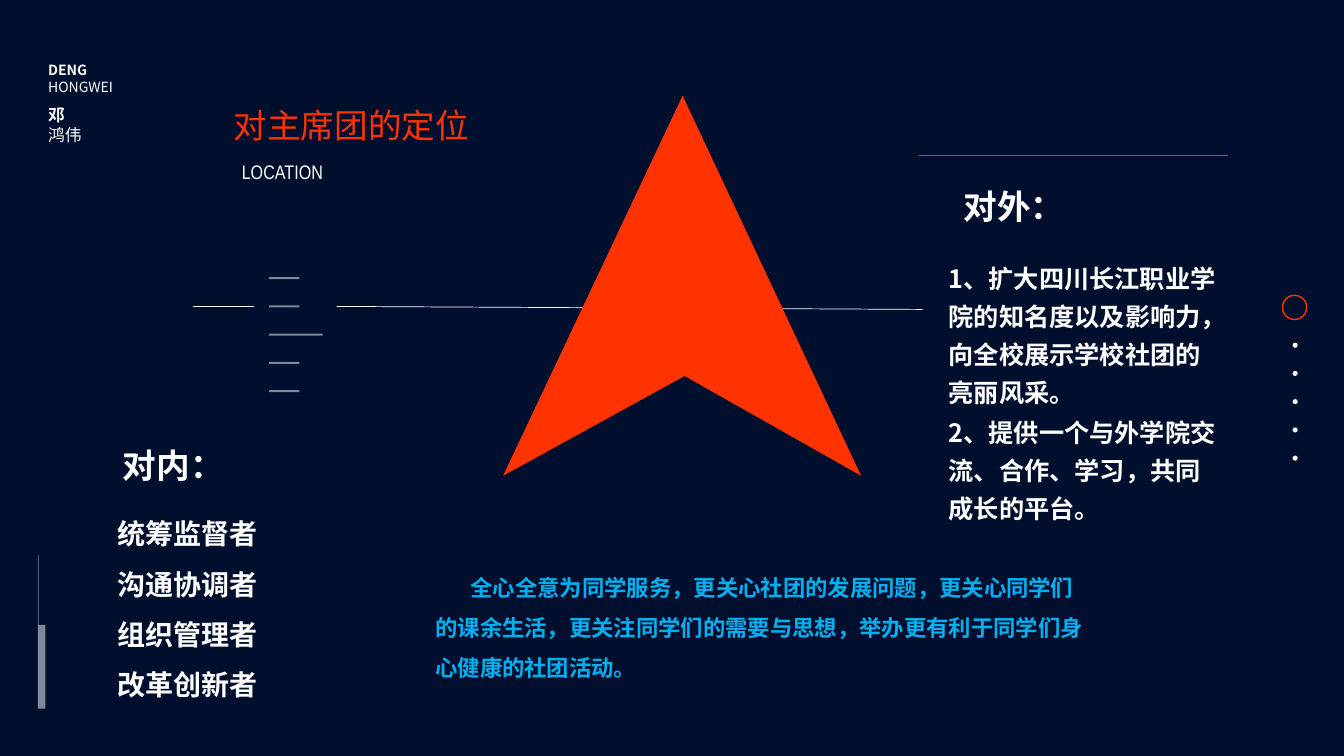
from lxml import etree
from pptx import Presentation
from pptx.dml.color import RGBColor
from pptx.enum.shapes import MSO_CONNECTOR, MSO_SHAPE
from pptx.oxml.ns import qn
from pptx.util import Inches, Pt

STRAIGHT = MSO_CONNECTOR.STRAIGHT
RECTANGLE = MSO_SHAPE.RECTANGLE
ROUNDED = MSO_SHAPE.ROUNDED_RECTANGLE
OVAL = MSO_SHAPE.OVAL

NAVY = "000F2E"
WHITE = "FFFFFF"
ORANGE = "FF3300"
SKY = "00B0F0"
CJK = "Noto Sans CJK SC"
NARROW = "Arial Narrow"


def rgb(value):
    return RGBColor.from_string(value)


def set_alpha(fill_parent, percent):
    """Make the solid colour below fill_parent partly transparent."""
    color = fill_parent.find(".//" + qn("a:srgbClr"))
    etree.SubElement(color, qn("a:alpha")).set("val", str(percent * 1000))


class SlideBuilder:
    def __init__(self, slide, background):
        self.shapes = slide.shapes
        slide.background.fill.solid()
        slide.background.fill.fore_color.rgb = rgb(background)

    def line(self, x1, y1, x2, y2, color=WHITE, width=0.5, alpha=None):
        connector = self.shapes.add_connector(
            STRAIGHT, Inches(x1), Inches(y1), Inches(x2), Inches(y2))
        connector.line.color.rgb = rgb(color)
        connector.line.width = Pt(width)
        properties = connector._element.spPr
        if alpha:
            set_alpha(properties, alpha)
        etree.SubElement(properties, qn("a:effectLst"))

    def paint(self, shape, fill, outline=None, alpha=None):
        shape.shadow.inherit = False
        if fill:
            shape.fill.solid()
            shape.fill.fore_color.rgb = rgb(fill)
        else:
            shape.fill.background()
        if alpha:
            set_alpha(shape._element.spPr, alpha)
        if outline:
            shape.line.color.rgb = rgb(outline)
            shape.line.width = Pt(1)
        else:
            shape.line.fill.background()

    def shape(self, kind, x, y, w, h, fill=WHITE, outline=None, alpha=None):
        shape = self.shapes.add_shape(
            kind, Inches(x), Inches(y), Inches(w), Inches(h))
        self.paint(shape, fill, outline, alpha)

    def polygon(self, points, fill):
        corners = [(Inches(x), Inches(y)) for x, y in points]
        builder = self.shapes.build_freeform(*corners[0])
        builder.add_line_segments(corners[1:], close=True)
        self.paint(builder.convert_to_shape(), fill)

    def text(self, x, y, w, h, *paragraphs, size, color=WHITE, font=CJK,
             bold=False, bold_first=False, spacing=None, gap=0, indent=0):
        """Add a text box; bold_first makes only the first paragraph bold."""
        frame = self.shapes.add_textbox(
            Inches(x), Inches(y), Inches(w), Inches(h)).text_frame
        frame.word_wrap = True
        for index, content in enumerate(paragraphs):
            paragraph = frame.add_paragraph() if index else frame.paragraphs[0]
            if spacing:
                paragraph.line_spacing = spacing
            if index and gap:
                paragraph.space_before = Pt(gap)
            if indent:
                paragraph._p.get_or_add_pPr().set("indent", str(Inches(indent)))
            run = paragraph.add_run()
            run.text = content
            run.font.size = Pt(size)
            run.font.bold = bold or (bold_first and index == 0)
            run.font.color.rgb = rgb(color)
            run.font.name = font
            east_asian = etree.SubElement(run._r.get_or_add_rPr(), qn("a:ea"))
            east_asian.set("typeface", font)


def main():
    presentation = Presentation()
    presentation.slide_width = Inches(13.33)
    presentation.slide_height = Inches(7.5)
    slide = presentation.slides.add_slide(presentation.slide_layouts[6])
    page = SlideBuilder(slide, NAVY)

    # Horizon and progress bar
    page.line(3.34, 3.04, 9.15, 3.07)
    page.line(1.91, 3.04, 2.52, 3.04)
    page.line(0.38, 5.51, 0.38, 7.03, alpha=50)
    page.shape(RECTANGLE, 0.38, 6.2, 0.07, 0.83, alpha=50)

    # Page markers and scale ticks
    page.shape(OVAL, 12.72, 2.93, 0.24, 0.24, fill=None, outline=ORANGE)
    step = 0.28
    for index, tick_width in enumerate((0.3, 0.3, 0.53, 0.3, 0.3)):
        page.shape(OVAL, 12.82, 3.4 + step * index, 0.05, 0.05)
        page.shape(ROUNDED, 2.67, 2.75 + step * index, tick_width, 0.02,
                   alpha=50)

    page.polygon([(6.77, 0.95), (8.54, 4.72), (6.79, 3.73), (4.99, 4.72)],
                 ORANGE)

    # Title and name
    page.text(2.22, 0.99, 2.85, 0.5, "对主席团的定位", size=24, color=ORANGE)
    page.text(2.3, 1.54, 1.26, 0.34, "LOCATION", size=14, font=NARROW)
    page.line(9.11, 1.54, 12.18, 1.54, color=ORANGE, width=1)
    page.text(0.38, 0.56, 1.19, 0.44, "DENG", "HONGWEI", size=10,
              bold_first=True)
    page.text(0.38, 0.99, 0.77, 0.5, "邓", "鸿伟", size=12, bold_first=True)

    # Internal and external roles
    page.text(1.07, 4.91, 2.13, 2.12, "统筹监督者", "沟通协调者",
              "组织管理者", "改革创新者", size=20, bold=True, spacing=1.5)
    page.text(4.22, 5.51, 6.67, 1.31,
              "全心全意为同学服务，更关心社团的发展问题，更关心同学们的课余生活，"
              "更关注同学们的需要与思想，举办更有利于同学们身心健康的社团活动。",
              size=16, color=SKY, bold=True, spacing=1.5, indent=0.35)
    page.text(1.12, 4.36, 1.25, 0.5, "对内：", size=24, bold=True)
    page.text(9.46, 1.8, 1.25, 0.5, "对外：", size=24, bold=True)
    page.text(9.31, 2.49, 2.88, 2.78,
              "1、扩大四川长江职业学院的知名度以及影响力，向全校展示学校社团的亮丽风采。",
              "2、提供一个与外学院交流、合作、学习，共同成长的平台。",
              size=18, bold=True, spacing=1.25, gap=2)

    presentation.save("out.pptx")


if __name__ == "__main__":
    main()
